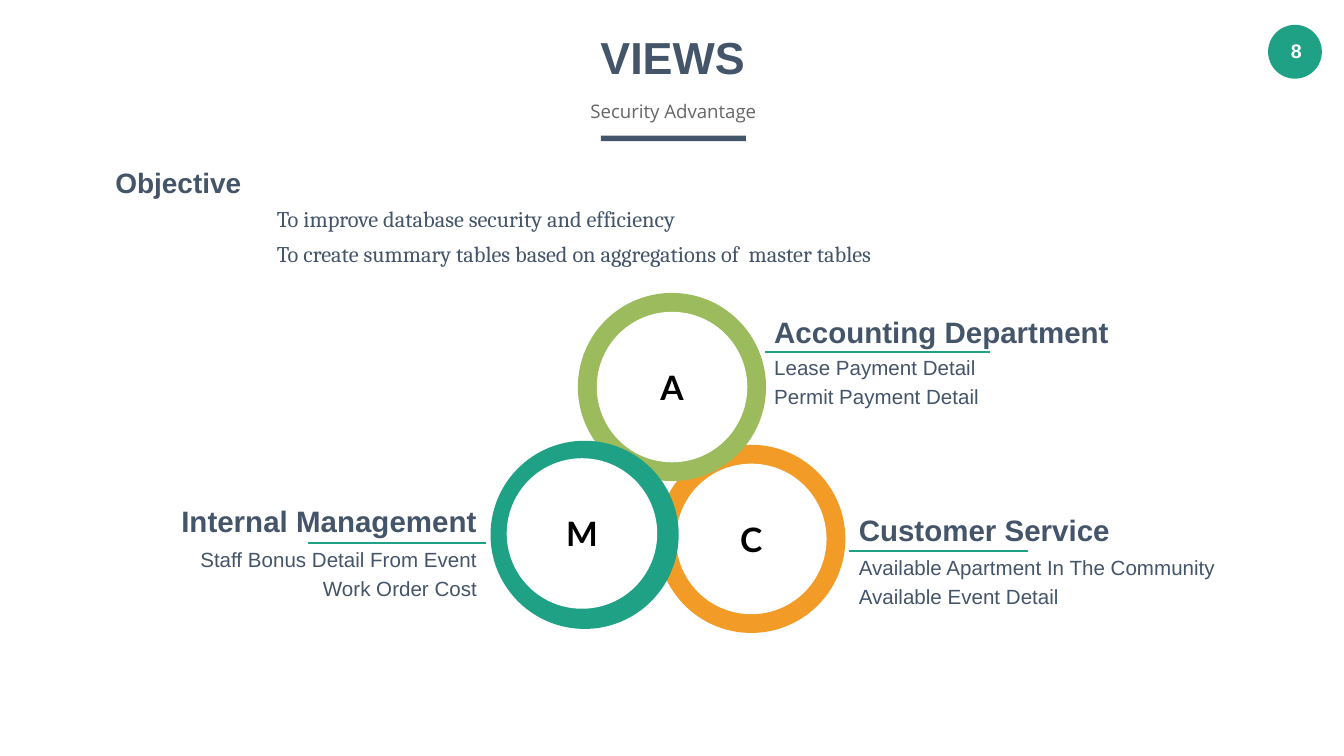
from lxml import etree
from pptx import Presentation
from pptx.dml.color import RGBColor
from pptx.enum.shapes import MSO_CONNECTOR, MSO_SHAPE
from pptx.enum.text import MSO_ANCHOR, MSO_AUTO_SIZE, PP_ALIGN
from pptx.oxml.ns import qn
from pptx.util import Inches, Pt

LEFT, CENTER, RIGHT = PP_ALIGN.LEFT, PP_ALIGN.CENTER, PP_ALIGN.RIGHT
JUSTIFY = PP_ALIGN.JUSTIFY
TOP, MIDDLE = MSO_ANCHOR.TOP, MSO_ANCHOR.MIDDLE
NO_FIT = MSO_AUTO_SIZE.NONE
OVAL, RECTANGLE = MSO_SHAPE.OVAL, MSO_SHAPE.RECTANGLE
STRAIGHT = MSO_CONNECTOR.STRAIGHT

NAVY, TEAL, GREEN, ORANGE = "445469", "1EA185", "9BBB5C", "F29B26"
GRAY, WHITE, BLACK = "666666", "FFFFFF", "000000"


def rgb(value):
    return RGBColor.from_string(value)


def place(sp, box):
    sp.left, sp.top, sp.width, sp.height = (Inches(v) for v in box)


def write(sp, lines, size, color=NAVY, font="Arial", bold=False, align=LEFT,
          spacing=1.0, gap=0, anchor=TOP, inset=(0.07, 0.04)):
    """Fill a shape with one formatted paragraph per line."""
    tf = sp.text_frame
    tf.text = "\n".join(lines)
    tf.word_wrap = True
    tf.auto_size = NO_FIT
    tf.vertical_anchor = anchor
    tf.margin_left = tf.margin_right = Inches(inset[0])
    tf.margin_top = tf.margin_bottom = Inches(inset[1])
    for i, p in enumerate(tf.paragraphs):
        p.alignment = align
        p.line_spacing = spacing
        p.space_before = Pt(gap if i else 0)
        for r in p.runs:
            r.font.name, r.font.size, r.font.bold = font, Pt(size), bold
            r.font.color.rgb = rgb(color)


def add_text(s, box, lines, size, **style):
    sp = s.shapes.add_textbox(*(Inches(v) for v in box))
    write(sp, lines, size, **style)


def add_filled(s, kind, box, color):
    sp = s.shapes.add_shape(kind, *(Inches(v) for v in box))
    sp.shadow.inherit = False
    sp.fill.solid()
    sp.fill.fore_color.rgb = rgb(color)
    sp.line.fill.background()
    return sp


def add_rule(s, x, y, width):
    line = s.shapes.add_connector(
        STRAIGHT, Inches(x), Inches(y), Inches(x + width), Inches(y))
    line.line.color.rgb = rgb(TEAL)
    line.line.width = Pt(1.5)
    etree.SubElement(line._element.spPr, qn("a:effectLst"))


def add_header(s, x, y, title, subtitle):
    place(s.shapes.title, (x, y, 8.59, 0.54))
    write(s.shapes.title, [title], 24, bold=True, align=CENTER,
          inset=(0.04, 0.02))
    add_filled(s, RECTANGLE, (x + 3.76, y + 0.81, 1.08, 0.04), NAVY)
    add_text(s, (x + 0.25, y + 0.47, 8.1, 0.34), [subtitle], 10, color=GRAY,
             font="Open Sans", align=CENTER, spacing=1.2, inset=(0.09, 0.04))


def add_page_badge(s, x, y, number):
    sp = add_filled(s, OVAL, (x, y, 0.39, 0.39), TEAL)
    sp.line.color.rgb = rgb(TEAL)
    sp.line.width = Pt(0.75)
    add_text(s, (x + 0.03, y + 0.06, 0.35, 0.25), [number], 10.5,
             color=WHITE, bold=True, align=CENTER)


def add_objective(s, x, y, heading, goals):
    add_text(s, (x, y, 1.2, 0.35), [heading], 15, bold=True,
             inset=(0.1, 0.05))
    body = s.placeholders[1]
    place(body, (x + 1.2, y + 0.24, 7.3, 0.6))
    write(body, goals, 12, font="Cambria", align=JUSTIFY, spacing=1.3,
          inset=(0.1, 0.05))
    for p in body.text_frame.paragraphs:
        pPr = p._p.get_or_add_pPr()
        pPr.set("marL", "0")
        pPr.set("indent", "0")
        etree.SubElement(pPr, qn("a:buNone"))


def add_ring(s, x, y, letter, color, dx=0.14, dy=0.14):
    add_filled(s, OVAL, (x, y, 1.4, 1.4), color)
    hole = add_filled(s, OVAL, (x + dx, y + dy, 1.12, 1.12), WHITE)
    write(hole, [letter], 18, color=BLACK, font="Lato", bold=True,
          align=CENTER, anchor=MIDDLE, inset=(0.1, 0.05))


def add_department(s, edge, y, name, views, widths, rule_top, body_top,
                   height=0.34, align=LEFT):
    """Heading, view list and underline, all starting or ending at edge."""
    is_right = align == RIGHT
    name_x, views_x, rule_x = (edge - w if is_right else edge for w in widths)
    name_width, views_width, rule_width = widths
    add_text(s, (views_x, y + body_top, views_width, 0.94), views, 11,
             align=RIGHT if is_right else JUSTIFY, spacing=0.9, gap=3.8)
    add_text(s, (name_x, y, name_width, height), [name], 15.8, bold=True,
             align=align)
    add_rule(s, rule_x, y + rule_top, rule_width)


def main():
    prs = Presentation()
    prs.slide_width = Inches(10)
    prs.slide_height = prs.slide_width * 9 // 16
    s = prs.slides.add_slide(prs.slide_layouts[1])

    add_page_badge(s, 9.44, 0.19, "8")
    add_header(s, 0.71, 0.2, "VIEWS", "Security Advantage")
    add_objective(s, 0.76, 1.18, "Objective", [
        "To improve database security and efficiency",
        "To create summary tables based on aggregations of  master tables"])

    add_ring(s, 4.89, 3.31, "C", ORANGE)
    add_ring(s, 4.3, 2.18, "A", GREEN)
    add_ring(s, 3.65, 3.28, "M", TEAL, dx=0.12, dy=0.13)

    add_department(s, 3.62, 3.7, "Internal Management",
                   ["Staff Bonus Detail From Event", "Work Order Cost"],
                   widths=(2.77, 3.62, 1.33), rule_top=0.34, body_top=0.35,
                   align=RIGHT)
    add_department(s, 6.32, 3.77, "Customer Service",
                   ["Available Apartment In The Community",
                    "Available Event Detail"],
                   widths=(2.46, 3.06, 1.33), rule_top=0.33, body_top=0.34)
    add_department(s, 5.69, 2.3, "Accounting Department",
                   ["Lease Payment Detail", "Permit Payment Detail"],
                   widths=(3.22, 3.88, 1.68), rule_top=0.32, body_top=0.32,
                   height=0.61)
    prs.save("out.pptx")


if __name__ == "__main__":
    main()
